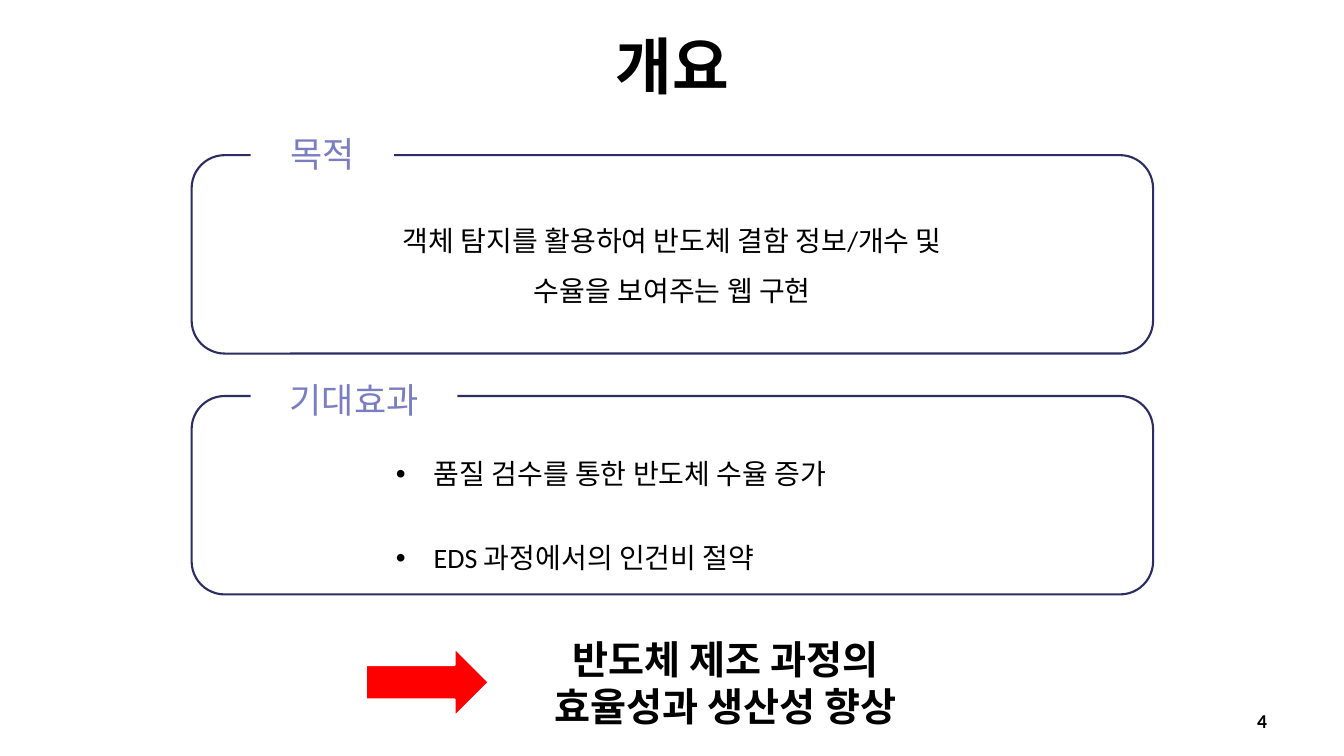
from lxml.etree import SubElement
from pptx import Presentation
from pptx.dml.color import RGBColor
from pptx.enum.shapes import MSO_SHAPE as SHAPE
from pptx.enum.text import MSO_ANCHOR as ANCHOR, MSO_AUTO_SIZE as AUTO, PP_ALIGN as ALIGN
from pptx.oxml.ns import qn
from pptx.util import Cm, Pt

FONT = "Calibri"
BLACK, WHITE, NAVY, LILAC, RED = "000000", "FFFFFF", "2B2D63", "7A7CC4", "FF0000"
PANEL_LEFT, PANEL_WIDTH, PANEL_HEIGHT = 4.83, 24.23, 5
LABEL_LEFT, LABEL_HEIGHT = 6.32, 1.37


def rgb(value):
    return RGBColor.from_string(value)


def write(sp, lines, size, color=BLACK, bold=False, align=ALIGN.CENTER,
          anchor=ANCHOR.TOP, spacings=None, bullets=False, grow=False):
    """Fill a shape with one paragraph per line."""
    tf = sp.text_frame
    tf.word_wrap = True
    tf.vertical_anchor = anchor
    tf.auto_size = AUTO.SHAPE_TO_FIT_TEXT if grow else AUTO.NONE
    for i, line in enumerate(lines):
        p = tf.paragraphs[0] if i == 0 else tf.add_paragraph()
        p.alignment = align
        if bullets:
            add_bullet(p)
        if spacings:
            p.line_spacing = spacings[i]
        r = p.add_run()
        r.text = line
        r.font.name = FONT
        r.font.size = Pt(size)
        r.font.bold = bold
        r.font.color.rgb = rgb(color)


def add_bullet(p):
    pPr = p._p.get_or_add_pPr()
    pPr.set("marL", str(Cm(0.95)))
    pPr.set("indent", str(-Cm(0.95)))
    SubElement(pPr, qn("a:buFont"), typeface="Arial")
    SubElement(pPr, qn("a:buChar"), char="•")


def add_box(shapes, kind, left, top, width, height, fill=WHITE, line=None):
    sp = shapes.add_shape(kind, Cm(left), Cm(top), Cm(width), Cm(height))
    sp.shadow.inherit = False
    sp.fill.solid()
    sp.fill.fore_color.rgb = rgb(fill)
    if line:
        sp.line.color.rgb = rgb(line)
        sp.line.width = Pt(1.5)
    else:
        sp.line.fill.background()
    return sp


def add_text(s, left, top, width, height, lines, size, **style):
    sp = s.shapes.add_textbox(Cm(left), Cm(top), Cm(width), Cm(height))
    write(sp, lines, size, **style)


def add_panel(s, top, label, label_top, label_width):
    """Outlined panel whose label interrupts the top border."""
    add_box(s.shapes, SHAPE.ROUNDED_RECTANGLE, PANEL_LEFT, top,
            PANEL_WIDTH, PANEL_HEIGHT, line=NAVY)
    sp = add_box(s.shapes, SHAPE.ROUNDED_RECTANGLE, LABEL_LEFT, label_top,
                 label_width, LABEL_HEIGHT)
    write(sp, [label], 25, color=LILAC, anchor=ANCHOR.MIDDLE)


def add_title(s, text):
    sp = s.shapes.title
    sp.left, sp.top, sp.width, sp.height = Cm(1.7), Cm(0.53), Cm(30.48), Cm(2.21)
    write(sp, [text], 44, bold=True, anchor=ANCHOR.MIDDLE)


def add_conclusion(s, lines):
    shapes = s.shapes.add_group_shape().shapes
    add_box(shapes, SHAPE.RIGHT_ARROW, 9.22, 16.33, 3.1, 1.73, fill=RED, line=WHITE)
    sp = add_box(shapes, SHAPE.RECTANGLE, 12.45, 15.88, 11.68, 2.64)
    write(sp, lines, 28, bold=True, grow=True)


def main():
    prs = Presentation()
    prs.slide_width, prs.slide_height = Cm(33.87), Cm(19.05)
    s = prs.slides.add_slide(prs.slide_layouts[5])
    add_title(s, "개요")

    # Panels
    add_panel(s, 3.91, "목적", 3.18, 3.61)
    add_panel(s, 9.98, "기대효과", 9.37, 5.21)

    # Panel texts
    add_text(s, 6.2, 5.08, 21.49, 2.67,
             ["객체 탐지를 활용하여 반도체 결함 정보/개수 및", "수율을 보여주는 웹 구현"],
             20, spacings=(1.5, 1.5), grow=True)
    add_text(s, 9.73, 10.54, 14.4, 3.73,
             ["품질 검수를 통한 반도체 수율 증가", "EDS 과정에서의 인건비 절약"],
             20, align=ALIGN.LEFT, spacings=(2.0, 2.5), bullets=True, grow=True)

    # Conclusion and page number
    add_conclusion(s, ["반도체 제조 과정의", "효율성과 생산성 향상"])
    add_text(s, 24.28, 17.65, 7.9, 1.02, ["4"], 14, bold=True,
             align=ALIGN.RIGHT, anchor=ANCHOR.MIDDLE)
    prs.save("out.pptx")


if __name__ == "__main__":
    main()
